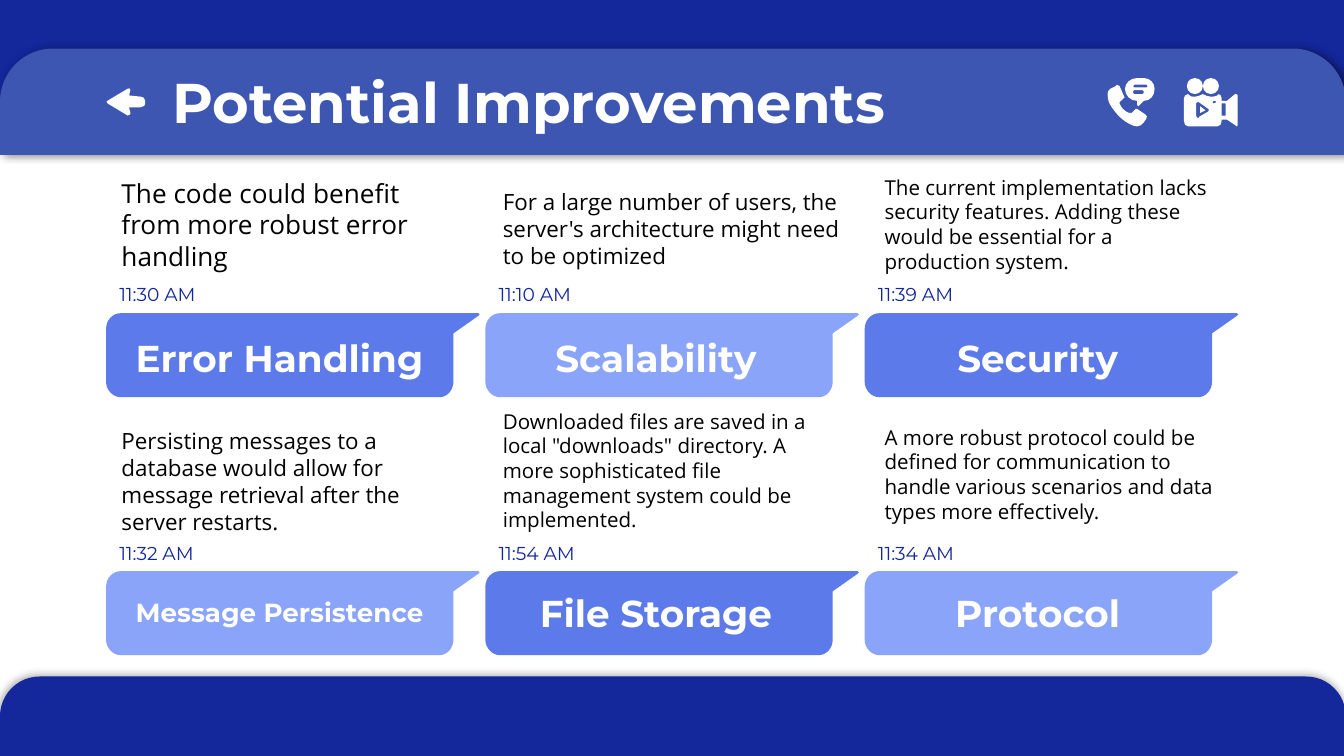
from lxml import etree
from pptx import Presentation
from pptx.dml.color import RGBColor
from pptx.enum import shapes, text
from pptx.oxml.ns import qn
from pptx.util import Pt

NAVY, WHITE, BLACK = "14279B", "FFFFFF", "000000"
DEEP, PALE = "5C7AEA", "8AA4F9"
UNIT = Pt(0.72)
MID = text.MSO_ANCHOR.MIDDLE

BUBBLE = """M 277 0 C 278 0 278 0 278 1 C 278 1 278 1 277 2 L 258.5 15 L 258.5 51
C 258.5 57 254 62.5 248 62.5 L 11 62.5 C 5 62.5 0 57 0 51 L 0 12 C 0 5 5 0 11 0"""
ARROW = """M 0 10 C -1 10 -1 11 0 12 L 15 21 C 16 21 16 21 17 20 C 17 20 17 20 17 19
L 16 15 L 24 15 C 25 15 26 15 27 14 C 27 14 28 13 28 12 L 28 10 C 28 8 26 7 25 7
L 16 6 L 17 2 C 17 1 16 0 15 1"""
PHONE = """M 8 5 C 7 5 7 5 7 6 L 3 8 C 0 10 1 14 2 18 C 5 24 11 31 17 34
C 19 35 21 36 23 36 C 25 36 26 35 28 33 L 30 30 C 31 29 30 28 29 27 L 23 23
C 23 23 23 23 22 23 C 22 23 21 23 21 24 L 19 26 C 19 26 18 26 17 26
C 14 25 11 22 10 19 C 10 18 10 17 11 17 L 13 15 C 14 15 14 14 13 13
L 10 6 C 9 6 9 5 8 5"""
CHAT = """M 30 5 C 31 5 31 6 31 6 C 31 7 31 7 30 7 L 21 7 C 20 7 20 7 20 6
C 20 6 20 5 21 5
M 27 9 C 28 9 28 10 28 11 C 28 11 28 12 27 12 L 21 12 C 20 12 20 11 20 11
C 20 10 20 9 21 9
M 23 0 C 18 0 14 4 14 8 C 14 13 18 17 23 17 L 23 20 C 23 20 23 21 24 21
L 28 17 C 33 17 36 13 36 8 C 36 4 33 0 28 0"""
CAMERA = """M 22 17 C 23 17 24 17 24 18 C 24 18 23 19 22 19 C 21 19 21 18 22 17
M 31 19 L 31 28 L 28 28 L 28 19
M 11 18 L 18 23 C 19 23 19 24 18 25 L 11 29 C 11 30 11 30 11 30 C 10 30 9 29 9 28
L 9 19 C 9 18 10 18 11 18
M 39 12 L 38 12 L 32 17 L 28 17 L 28 15 C 28 14 27 12 26 12
C 24 14 22 14 20 14 C 18 14 16 13 14 12 C 12 13 10 14 8 14 C 6 14 4 14 3 12
C 1 12 0 14 0 15 L 0 32 C 0 34 1 36 3 36 L 25 36 C 27 36 28 34 28 32 L 28 31
L 32 31 L 38 35 C 39 35 39 36 39 36 C 40 36 40 35 40 34 L 40 13 C 40 13 40 12 39 12"""
PLAY = "M 12 21 L 12 26 L 16 24"

CARDS = [
    [("Error Handling", "The code could benefit from more robust error handling",
      "11:30 AM", 87.8, 59.8, 14, 20),
     ("Scalability", "For a large number of users, the server's architecture "
      "might need to be optimized", "11:10 AM", 93.6, 54.7, 12, 20),
     ("Security", "The current implementation lacks security features. Adding "
      "these would be essential for a production system.",
      "11:39 AM", 86.4, 54.7, 11, 20)],
    [("Message Persistence", "Persisting messages to a database would allow for "
      "message retrieval after the server restarts.",
      "11:32 AM", 221.8, 64.1, 12, 14),
     ("File Storage", 'Downloaded files are saved in a local "downloads" directory. '
      "A more sophisticated file management system could be implemented.",
      "11:54 AM", 211.7, 79.2, 11, 20),
     ("Protocol", "A more robust protocol could be defined for communication to "
      "handle various scenarios and data types more effectively.",
      "11:34 AM", 220.3, 70.6, 11, 20)],
]
ROWS = [(167.8, 172.4, 144.4), (306, 308.9, 283)]
LEFTS = [(58, 60.5), (262.3, 262.1), (466.8, 466.6)]


def rgb(hue):
    """Turn a hex string into a colour."""
    return RGBColor.from_string(hue)


def paint(shape, hue):
    """Give a shape a plain fill without line or shadow."""
    shape.shadow.inherit = False
    shape.fill.solid()
    shape.fill.fore_color.rgb = rgb(hue)
    shape.line.fill.background()
    return shape


def block(slide, kind, x, y, w, h, hue):
    """Add a filled preset shape."""
    return paint(slide.shapes.add_shape(kind, Pt(x), Pt(y), Pt(w), Pt(h)), hue)


def shade(shape, alpha, angle):
    """Add a soft outer shadow."""
    effects = shape._element.spPr.find(qn("a:effectLst"))
    outer = etree.SubElement(effects, qn("a:outerShdw"), blurRad=str(Pt(4.5)),
                             dist=str(Pt(1.5)), dir=str(angle * 60000),
                             algn="bl", rotWithShape="0")
    tint = etree.SubElement(outer, qn("a:srgbClr"), val=BLACK)
    etree.SubElement(tint, qn("a:alpha"), val=str(alpha * 1000))


def panel(slide, y, h, hue, alpha, angle):
    """Add a full-width band with round top corners."""
    kind = shapes.MSO_SHAPE.ROUND_2_SAME_RECTANGLE
    band = block(slide, kind, 0, y, 721, h, hue)
    band.adjustments[0], band.adjustments[1] = 0.5, 0
    shade(band, alpha, angle)


def bend(shape, route):
    """Join the three lines of each C step into one cubic curve."""
    lines = shape._element.iter(qn("a:lnTo"))
    lines = iter(list(lines))
    for step in (part for part in route.split() if part in "LC"):
        line = next(lines)
        if step == "C":
            cubic = etree.Element(qn("a:cubicBezTo"))
            line.addprevious(cubic)
            for side in (line, next(lines), next(lines)):
                cubic.append(side[0])
                side.getparent().remove(side)


def outline(slide, route, x, y, hue):
    """Add a filled freeform with its origin at x, y."""
    pen = None
    for loop in route.split("M")[1:]:
        nums = [float(n) for n in loop.split() if n not in "LC"]
        dots = [(Pt(x) + a * UNIT, Pt(y) + b * UNIT)
                for a, b in zip(nums[::2], nums[1::2])]
        if pen:
            pen.move_to(*dots[0])
        else:
            pen = slide.shapes.build_freeform(*dots[0])
        pen.add_line_segments(dots[1:], close=True)
    shape = paint(pen.convert_to_shape(), hue)
    bend(shape, route)


def write(box, words, size=10, font="Montserrat", hue=NAVY, bold=False,
          align=text.PP_ALIGN.LEFT, anchor=text.MSO_ANCHOR.TOP):
    """Fill a box with one formatted paragraph."""
    frame = box.text_frame
    frame.word_wrap = True
    frame.auto_size = text.MSO_AUTO_SIZE.NONE
    frame.vertical_anchor = anchor
    frame.margin_left = frame.margin_right = Pt(7.2)
    frame.margin_top = frame.margin_bottom = Pt(7.2)
    para = frame.paragraphs[0]
    para.text, para.alignment, para.line_spacing = words, align, 1.0
    para.font.name, para.font.size, para.font.bold = font, Pt(size), bold
    para.font.color.rgb = rgb(hue)


def label(slide, x, y, w, h, words, **style):
    """Add a text box."""
    box = slide.shapes.add_textbox(Pt(x), Pt(y), Pt(w), Pt(h))
    write(box, words, **style)


def card(slide, row, col, item):
    """Add a message with its time and its heading bubble."""
    name, body, time, top, high, size, big = item
    base, head, clock = ROWS[row]
    left, inner = LEFTS[col]
    x = 56.8 + 203.2 * col
    outline(slide, BUBBLE, x, base, PALE if (row + col) % 2 else DEEP)
    label(slide, left, top, 195.84, high, body, size=size, font="Open Sans", hue=BLACK)
    label(slide, inner, head, 178.6, 38.2, name, size=big, hue=WHITE,
          bold=True, align=text.PP_ALIGN.CENTER, anchor=MID)
    label(slide, x, clock, 61.2, 23, time)


def icons(slide):
    """Add the arrow, phone and camera of the header."""
    outline(slide, ARROW, 57.6, 46.8, WHITE)
    for route in (PHONE, CHAT):
        outline(slide, route, 592.6, 41.8, WHITE)
    for route in (CAMERA, PLAY):
        outline(slide, route, 634.3, 41.8, WHITE)
    for x in (635.8, 644.4):
        block(slide, shapes.MSO_SHAPE.OVAL, x, 41.8, 8.6, 8.6, WHITE)


def main():
    """Build and save the slide."""
    deck = Presentation()
    deck.slide_width, deck.slide_height = Pt(720), Pt(405)
    slide = deck.slides.add_slide(deck.slide_layouts[5])
    panel(slide, 362.4, 42.6, NAVY, 32, 237)
    block(slide, shapes.MSO_SHAPE.RECTANGLE, 0, 0, 720, 72.7, NAVY)
    panel(slide, 26, 57, "3D56B2", 50, 0)
    title = slide.shapes.title
    title.left, title.top, title.width, title.height = Pt(85), Pt(29), Pt(447), Pt(45.4)
    write(title, "Potential Improvements", size=30, hue=WHITE, bold=True)
    slide.shapes._spTree.append(title._element)
    for row, items in enumerate(CARDS):
        for col, item in enumerate(items):
            card(slide, row, col, item)
    icons(slide)
    deck.save("out.pptx")


if __name__ == "__main__":
    main()
